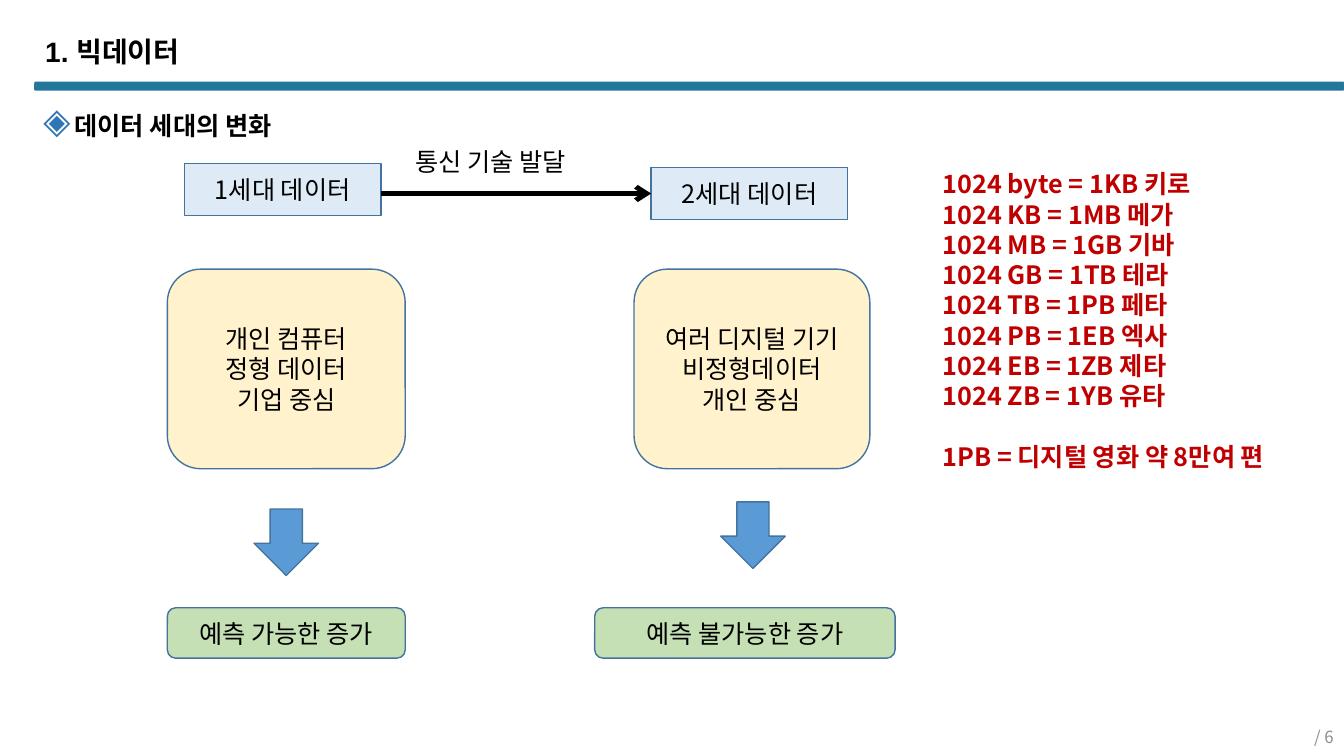
from dataclasses import dataclass
from itertools import pairwise

from lxml import etree
from pptx import Presentation
from pptx import util as u
from pptx.dml.color import RGBColor
from pptx.enum import shapes, text
from pptx.oxml.ns import qn

COLS, ROWS = 160, 90
SANS, LATIN = "Noto Sans CJK KR", "Arial"
BLACK, EDGE, RED = "000000", "43739E", "C00000"
PALE, CREAM, GREEN, BLUE = "DEEBF7", "FFF2CC", "C5E0B4", "5B9BD5"
KIND = shapes.MSO_SHAPE
ALIGN = text.PP_ALIGN
MID, TOP = text.MSO_ANCHOR.MIDDLE, text.MSO_ANCHOR.TOP


@dataclass(frozen=True)
class Area:
    """A place on the grid, in columns and rows."""
    col: float
    row: float
    wide: float
    high: float


@dataclass(frozen=True)
class Box:
    """A filled shape with its lines of text."""
    area: Area
    kind: KIND
    fill: str
    lines: tuple[str, ...] = ()
    edge: str | None = EDGE


@dataclass(frozen=True)
class Note:
    """A free text with its style."""
    area: Area
    lines: tuple[str, ...]
    size: float = 18
    face: str = SANS
    hue: str = BLACK
    bold: bool = False
    align: ALIGN = ALIGN.LEFT
    anchor: text.MSO_ANCHOR = TOP
    inset: tuple[float, float] = (0.1, 0.05)
    wrap: bool = True


deck = Presentation()
deck.slide_width, deck.slide_height = u.Inches(13.33), u.Inches(7.5)
slide = deck.slides.add_slide(deck.slide_layouts[6])


def across(cols: float) -> int:
    """Turn columns into a length."""
    return round(deck.slide_width * cols / COLS)


def down(rows: float) -> int:
    """Turn rows into a length."""
    return round(deck.slide_height * rows / ROWS)


def place(area: Area) -> tuple[int, int, int, int]:
    """Turn a grid area into left, top, width and height."""
    return across(area.col), down(area.row), across(area.wide), down(area.high)


def paint(item, hue: str) -> None:
    """Give a fill or line one solid colour."""
    item.solid()
    item.fore_color.rgb = RGBColor.from_string(hue)


def write(frame, lines: tuple[str, ...], size: float = 18, face: str = SANS,
          hue: str = BLACK, bold: bool = False, align: ALIGN = ALIGN.CENTER) -> None:
    """Fill a frame with paragraphs in one style."""
    frame.text = "\n".join(lines)
    for para in frame.paragraphs:
        para.alignment = align
        for run in para.runs:
            font = run.font
            font.size, font.bold, font.name = u.Pt(size), bold, face
            paint(font.fill, hue)
            etree.SubElement(font._element, qn("a:ea"), typeface=SANS)


def draw(box: Box):
    """Draw a filled shape."""
    shape = slide.shapes.add_shape(box.kind, *place(box.area))
    shape.shadow.inherit = False
    paint(shape.fill, box.fill)
    if box.edge:
        paint(shape.line.fill, box.edge)
        shape.line.width = u.Pt(1)
    else:
        shape.line.fill.background()
    if box.lines:
        shape.text_frame.vertical_anchor = MID
        write(shape.text_frame, box.lines)
    return shape


def pen(note: Note):
    """Draw a free text and return its frame."""
    frame = slide.shapes.add_textbox(*place(note.area)).text_frame
    frame.word_wrap, frame.vertical_anchor = note.wrap, note.anchor
    side, edge = map(u.Inches, note.inset)
    frame.margin_left = frame.margin_right = side
    frame.margin_top = frame.margin_bottom = edge
    write(frame, note.lines, note.size, note.face, note.hue, note.bold, note.align)
    return frame


def mark(para, sign: str, hue: str) -> None:
    """Hang a coloured bullet before a paragraph."""
    props = para._p.get_or_add_pPr()
    props.set("marL", str(u.Inches(0.31)))
    props.set("indent", str(-u.Inches(0.31)))
    tint = etree.SubElement(props, qn("a:buClr"))
    etree.SubElement(tint, qn("a:srgbClr"), val=hue)
    etree.SubElement(props, qn("a:buSzPct"), val="140000")
    etree.SubElement(props, qn("a:buChar"), char=sign)


def link(col: float, row: float, goal) -> None:
    """Draw an arrow from a grid point to the left side of a shape."""
    start = across(col), down(row)
    line = slide.shapes.add_connector(shapes.MSO_CONNECTOR.STRAIGHT, *start, *start)
    line.end_connect(goal, 1)
    paint(line.line.fill, BLACK)
    line.line.width = u.Pt(3.5)
    etree.SubElement(line.line._get_or_add_ln(), qn("a:tailEnd"), type="arrow")
    etree.SubElement(line._element.spPr, qn("a:effectLst"))


def main() -> None:
    """Build the slide and save it."""
    bar = draw(Box(Area(4.08, 9.72, 155.92, 1.08), KIND.ROUNDED_RECTANGLE,
                   "22779B", edge=None))
    bar.adjustments[0] = 0.13
    head = pen(Note(Area(4.2, 3.96, 45.96, 5.64), ("1. 빅데이터",), 20, LATIN, bold=True))
    head.paragraphs[0].line_spacing = 0.9
    topic = pen(Note(Area(5.16, 13.08, 105.36, 3.6), ("데이터 세대의 변화",),
                     face=LATIN, bold=True, inset=(0, 0)))
    mark(topic.paragraphs[0], "◈", "2E75B6")
    pen(Note(Area(122.64, 86.28, 37.32, 2.76), ("/ 6",), 12, hue="8C8C8C",
             align=ALIGN.RIGHT, anchor=MID))

    draw(Box(Area(21.96, 19.44, 23.4, 6.24), KIND.RECTANGLE, PALE, ("1세대 데이터",)))
    second = draw(Box(Area(77.52, 19.92, 23.4, 6.24), KIND.RECTANGLE, PALE,
                      ("2세대 데이터",)))
    link(45.36, 23.04, second)
    pen(Note(Area(48.24, 16.8, 22.56, 4.8), ("통신 기술 발달",)))

    for box in (
        Box(Area(19.92, 32.04, 28.32, 23.76), KIND.ROUNDED_RECTANGLE, CREAM,
            ("개인 컴퓨터", "정형 데이터", "기업 중심")),
        Box(Area(75.48, 32.04, 28.08, 23.76), KIND.ROUNDED_RECTANGLE, CREAM,
            ("여러 디지털 기기", "비정형데이터", "개인 중심")),
        Box(Area(30.24, 60.6, 7.68, 7.92), KIND.DOWN_ARROW, BLUE),
        Box(Area(85.8, 59.76, 7.68, 7.92), KIND.DOWN_ARROW, BLUE),
        Box(Area(19.92, 72.36, 28.32, 6), KIND.ROUNDED_RECTANGLE, GREEN,
            ("예측 가능한 증가",)),
        Box(Area(70.8, 72.36, 35.76, 6), KIND.ROUNDED_RECTANGLE, GREEN,
            ("예측 불가능한 증가",)),
    ):
        draw(box)

    units = ("byte", "KB", "MB", "GB", "TB", "PB", "EB", "ZB", "YB")
    names = ("키로", "메가", "기바", "테라", "페타", "엑사", "제타", "유타")
    sizes = tuple(f"1024 {low} = 1{high} {name}"
                  for (low, high), name in zip(pairwise(units), names))
    table = pen(Note(Area(111.6, 19.92, 42.96, 36.36),
                     sizes + ("1PB = 디지털 영화 약 8만여 편",), hue=RED, bold=True,
                     anchor=MID, inset=(0.05, 0), wrap=False))
    table.paragraphs[-1].space_before = u.Pt(21.7)

    deck.save("out.pptx")


if __name__ == "__main__":
    main()
